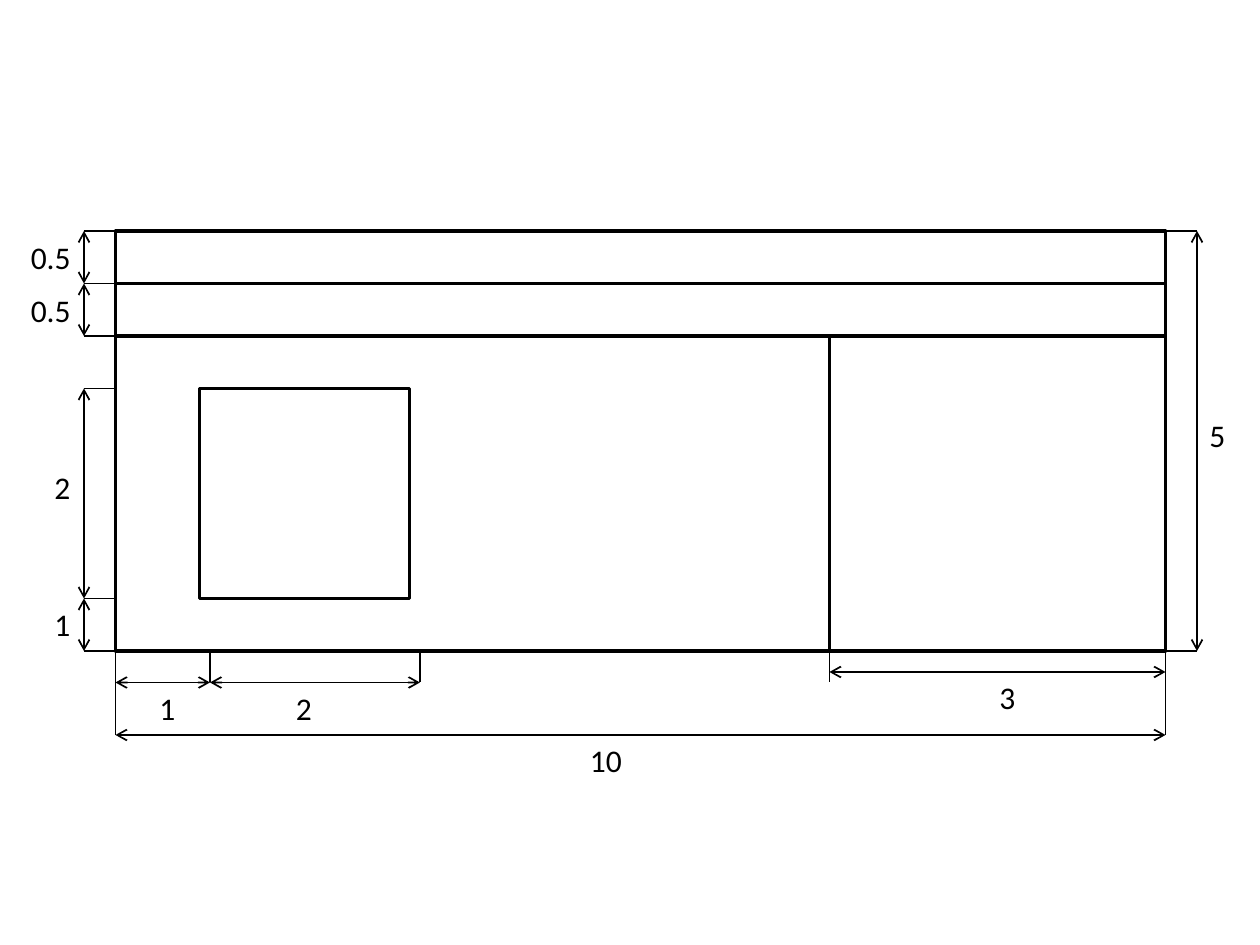
from dataclasses import dataclass

from lxml.etree import SubElement
from pptx import Presentation
from pptx.dml.color import RGBColor
from pptx.enum.shapes import MSO_CONNECTOR as Connector, MSO_SHAPE as Shape
from pptx.enum.text import MSO_AUTO_SIZE as AutoSize
from pptx.oxml.ns import qn
from pptx.util import Inches, Pt


@dataclass(frozen=True)
class Theme:
    ink: RGBColor = RGBColor(0, 0, 0)
    font: str = "Calibri"
    label_size: Pt = Pt(18)
    wall_line: Pt = Pt(2)
    dimension_line: Pt = Pt(1)


@dataclass(frozen=True)
class Box:
    """An area of the slide, in grid cells."""
    left: float
    top: float
    width: float
    height: float

    def point(self, x, y):
        return self.left + x, self.top + y


THEME = Theme()
CELLS_PER_INCH = 12
LABEL_HEIGHT = 4.8
LABEL_WIDTHS = {1: 4, 2: 5.5, 3: 6.25}  # by number of characters

# Positions inside the facade, in cells from its top left corner
ROOF, BAND, WALL = 0, 5, 10
DOOR = 68
WINDOW = Box(8, 15, 20, 20)
WINDOW_MARKS = (9, 29)
SIDE_GAP = 3


def cells(count):
    return Inches(count / CELLS_PER_INCH)


def add_rectangle(slide, box):
    rectangle = slide.shapes.add_shape(
        Shape.RECTANGLE, *map(cells, (box.left, box.top, box.width, box.height)))
    rectangle.shadow.inherit = False
    rectangle.fill.background()
    rectangle.line.color.rgb = THEME.ink
    rectangle.line.width = THEME.wall_line


def add_line(slide, start, end, width, arrows=False):
    line = slide.shapes.add_connector(
        Connector.STRAIGHT, *map(cells, (*start, *end)))
    line.line.color.rgb = THEME.ink
    line.line.width = width
    properties = line._element.spPr
    if arrows:
        outline = properties.find(qn("a:ln"))
        for arrowhead in ("a:headEnd", "a:tailEnd"):
            SubElement(outline, qn(arrowhead), type="arrow")
    SubElement(properties, qn("a:effectLst"))


def add_label(slide, text, left, top):
    label = slide.shapes.add_textbox(
        *map(cells, (left, top, LABEL_WIDTHS[len(text)], LABEL_HEIGHT)))
    frame = label.text_frame
    frame.word_wrap = False
    frame.auto_size = AutoSize.SHAPE_TO_FIT_TEXT
    run = frame.paragraphs[0].add_run()
    run.text = text
    run.font.name = THEME.font
    run.font.size = THEME.label_size
    run.font.color.rgb = THEME.ink


def draw_facade(slide, box):
    add_rectangle(slide, box)
    add_rectangle(slide, Box(*box.point(WINDOW.left, WINDOW.top),
                             WINDOW.width, WINDOW.height))
    for row in (WALL, BAND):
        add_line(slide, box.point(0, row), box.point(box.width, row), THEME.wall_line)
    add_line(slide, box.point(DOOR, WALL), box.point(DOOR, box.height), THEME.wall_line)


def draw_widths(slide, box):
    """Dimensions below the box."""
    first, second = WINDOW_MARKS
    marks = ((0, 8), (box.width, 8), (DOOR, 3), (first, 3), (second, 3))
    for column, length in marks:
        add_line(slide, box.point(column, box.height),
                 box.point(column, box.height + length), THEME.dimension_line)

    spans = (("10", 0, box.width, 8, 44), ("3", DOOR, box.width, 2, 83),
             ("2", first, second, 3, 16), ("1", 0, first, 3, 3))
    for text, start, end, gap, label_left in spans:
        row = box.height + gap
        add_line(slide, box.point(start, row), box.point(end, row),
                 THEME.dimension_line, arrows=True)
        add_label(slide, text, *box.point(label_left, row))


def draw_heights(slide, box, edge, direction, spans):
    """Dimensions beside the box; direction is -1 for left and 1 for right."""
    column = edge + direction * SIDE_GAP
    for row in sorted({row for _, start, end, _ in spans for row in (start, end)}):
        add_line(slide, box.point(min(edge, column), row),
                 box.point(max(edge, column), row), THEME.dimension_line)

    for text, start, end, label_top in spans:
        add_line(slide, box.point(column, start), box.point(column, end),
                 THEME.dimension_line, arrows=True)
        label_left = column - LABEL_WIDTHS[len(text)] if direction < 0 else column
        add_label(slide, text, *box.point(label_left, label_top))


def main():
    deck = Presentation()
    deck.slide_width, deck.slide_height = Inches(10), Inches(7.5)
    slide = deck.slides.add_slide(deck.slide_layouts.get_by_name("Blank"))
    facade = Box(11, 22, 100, 40)
    sill = WINDOW.top + WINDOW.height

    draw_facade(slide, facade)
    draw_widths(slide, facade)
    draw_heights(slide, facade, 0, -1, (
        ("0.5", ROOF, BAND, 0.1), ("0.5", BAND, WALL, 5.1),
        ("2", WINDOW.top, sill, 22), ("1", sill, facade.height, 35)))
    draw_heights(slide, facade, facade.width, 1, (("5", ROOF, facade.height, 17),))
    deck.save("out.pptx")


if __name__ == "__main__":
    main()
